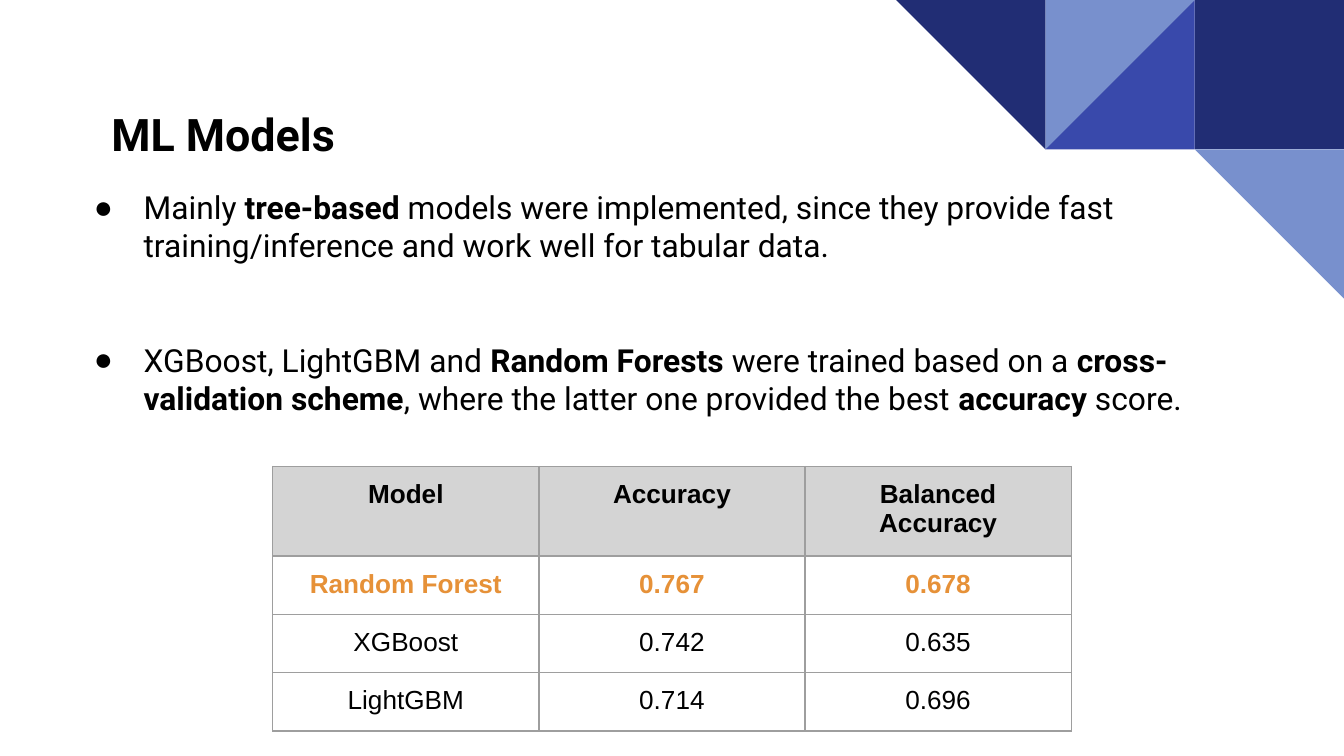
from lxml import etree
from pptx import Presentation
from pptx.dml.color import RGBColor
from pptx.enum.shapes import MSO_SHAPE
from pptx.enum.text import PP_ALIGN
from pptx.oxml import parse_xml
from pptx.oxml.ns import nsdecls, qn
from pptx.util import Inches, Pt

RECT, TRI = MSO_SHAPE.RECTANGLE, MSO_SHAPE.RIGHT_TRIANGLE
CENTER = PP_ALIGN.CENTER
WIDE = 10
HIGH = WIDE * 9 / 16
TILE = WIDE / 9
BLACK, GRAY, LINE, GOLD = "000000", "D4D4D4", "9E9E9E", "E69138"
NAVY, BLUE, PALE = "212D74", "3949AB", "7890CD"

TILES = [
    (RECT, 8, 0, 0, NAVY),
    (TRI, 7, 0, 270, BLUE),
    (TRI, 7, 0, 90, PALE),
    (TRI, 6, 0, 180, NAVY),
    (TRI, 8, 1, 180, PALE),
]
TITLE = [("ML Models", True)]
POINTS = [
    [("Mainly ", False), ("tree-based", True),
     (" models were implemented, since they provide fast "
      "training/inference and work well for tabular data.", False)],
    [("XGBoost, LightGBM and ", False), ("Random Forests ", True),
     ("were trained based on a ", False), ("cross-validation scheme", True),
     (", where the latter one provided the best ", False),
     ("accuracy", True), (" score.", False)],
]
SCORES = [
    ("Model", "Accuracy", "Balanced Accuracy"),
    ("Random Forest", "0.767", "0.678"),
    ("XGBoost", "0.742", "0.635"),
    ("LightGBM", "0.714", "0.696"),
]
LOOKS = [(BLACK, True), (GOLD, True), (BLACK, False), (BLACK, False)]


def color(hex):
    return RGBColor.from_string(hex)


def style(run, face, size, hex, bold):
    font = run.font
    font.name, font.size, font.bold = face, Pt(size), bold
    font.color.rgb = color(hex)


def pad(box):
    box.margin_left = box.margin_right = Inches(0.1)
    box.margin_top = box.margin_bottom = Inches(0.1)


def add_tile(slide, kind, col, row, turn, hex):
    left, top, side = Inches(col * TILE), Inches(row * TILE), Inches(TILE)
    shape = slide.shapes.add_shape(kind, left, top, side, side)
    shape.rotation = turn
    shape.shadow.inherit = False
    shape.fill.solid()
    shape.fill.fore_color.rgb = color(hex)
    shape.line.fill.background()


def add_text(slide, box, paras, size):
    frame = slide.shapes.add_textbox(*map(Inches, box)).text_frame
    frame.word_wrap = True
    pad(frame)
    for i, parts in enumerate(paras):
        para = frame.add_paragraph() if i else frame.paragraphs[0]
        for text, bold in parts:
            run = para.add_run()
            run.text = text
            style(run, "Roboto", size, BLACK, bold)
    return frame


def add_bullet(para):
    props = para._p.get_or_add_pPr()
    props.set("marL", str(Inches(0.5)))
    props.set("indent", str(Inches(-0.37)))
    tint = etree.SubElement(props, qn("a:buClr"))
    etree.SubElement(tint, qn("a:srgbClr")).set("val", BLACK)
    etree.SubElement(props, qn("a:buFont")).set("typeface", "Arial")
    etree.SubElement(props, qn("a:buChar")).set("char", "●")


def add_border(cell):
    props = cell._tc.get_or_add_tcPr()
    for i, side in enumerate("LRTB"):
        props.insert(i, parse_xml(
            f'<a:ln{side} {nsdecls("a")} w="{Pt(0.75)}"><a:solidFill>'
            f'<a:srgbClr val="{LINE}"/></a:solidFill></a:ln{side}>'))


def add_scores(slide):
    rows, cols = len(SCORES), len(SCORES[0])
    box = map(Inches, (2.03, 3.47, 1.98 * cols, 0.42 * rows))
    table = slide.shapes.add_table(rows, cols, *box).table
    table.first_row = table.horz_banding = False
    for r, (values, look) in enumerate(zip(SCORES, LOOKS)):
        for c, value in enumerate(values):
            cell = table.cell(r, c)
            pad(cell)
            if r:
                cell.fill.background()
            else:
                cell.fill.solid()
                cell.fill.fore_color.rgb = color(GRAY)
            add_border(cell)
            cell.text_frame.text = value
            para = cell.text_frame.paragraphs[0]
            para.alignment = CENTER
            style(para.runs[0], "Arial", 14, *look)


def main():
    """Build the slide on the tree-based models and their scores."""
    deck = Presentation()
    deck.slide_width, deck.slide_height = Inches(WIDE), Inches(HIGH)
    slide = deck.slides.add_slide(deck.slide_layouts[6])
    for tile in TILES:
        add_tile(slide, *tile)
    points = add_text(slide, (0.47, 1.3, 8.44, 3.96), POINTS, 17)
    for para in points.paragraphs:
        add_bullet(para)
    points.paragraphs[1].space_before = Pt(41)
    add_text(slide, (0.73, 0.69, 3.28, 0.61), [TITLE], 24)
    add_scores(slide)
    deck.save("out.pptx")


if __name__ == "__main__":
    main()
